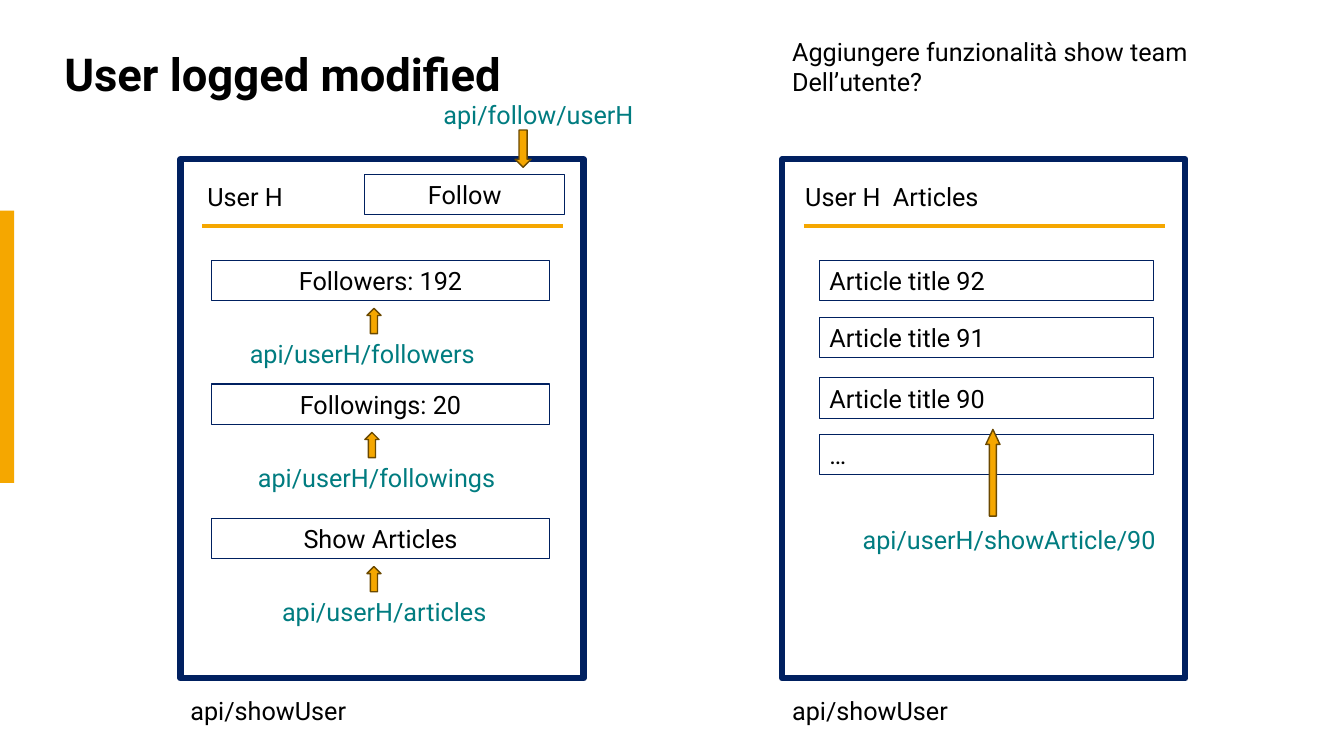
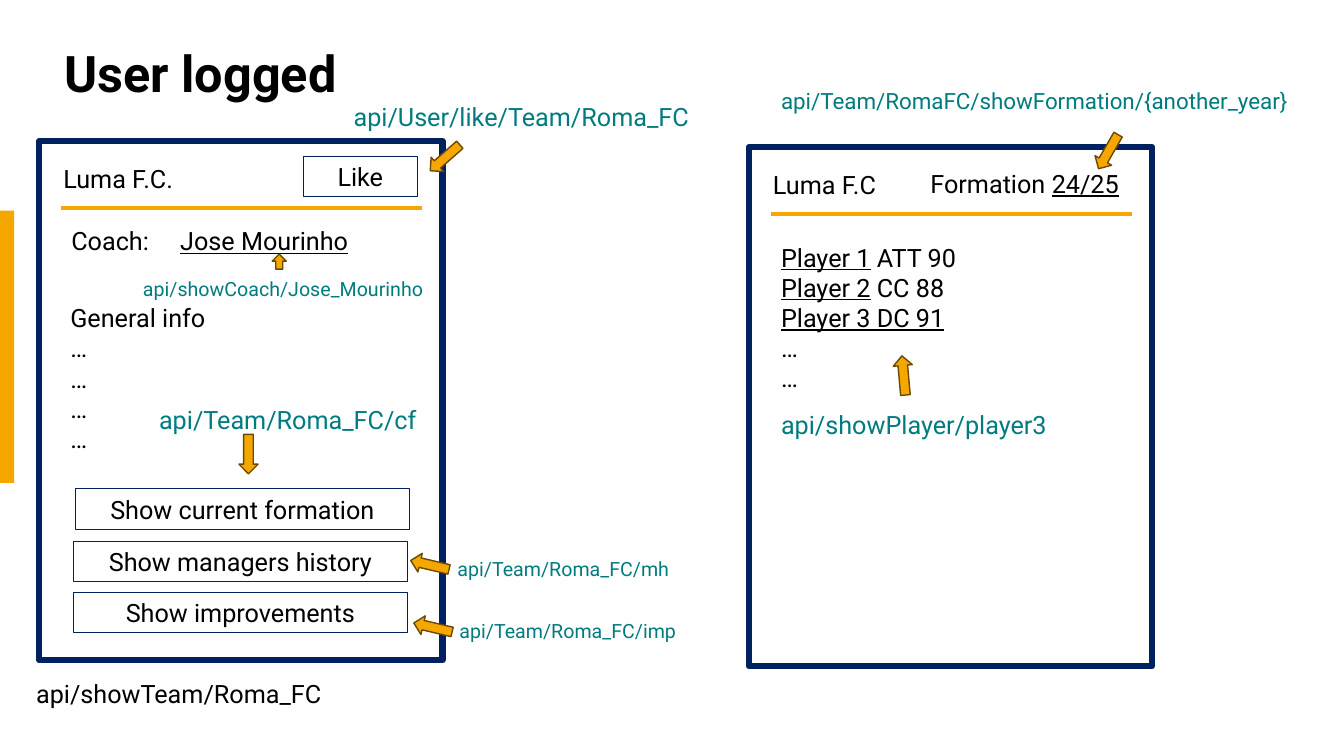
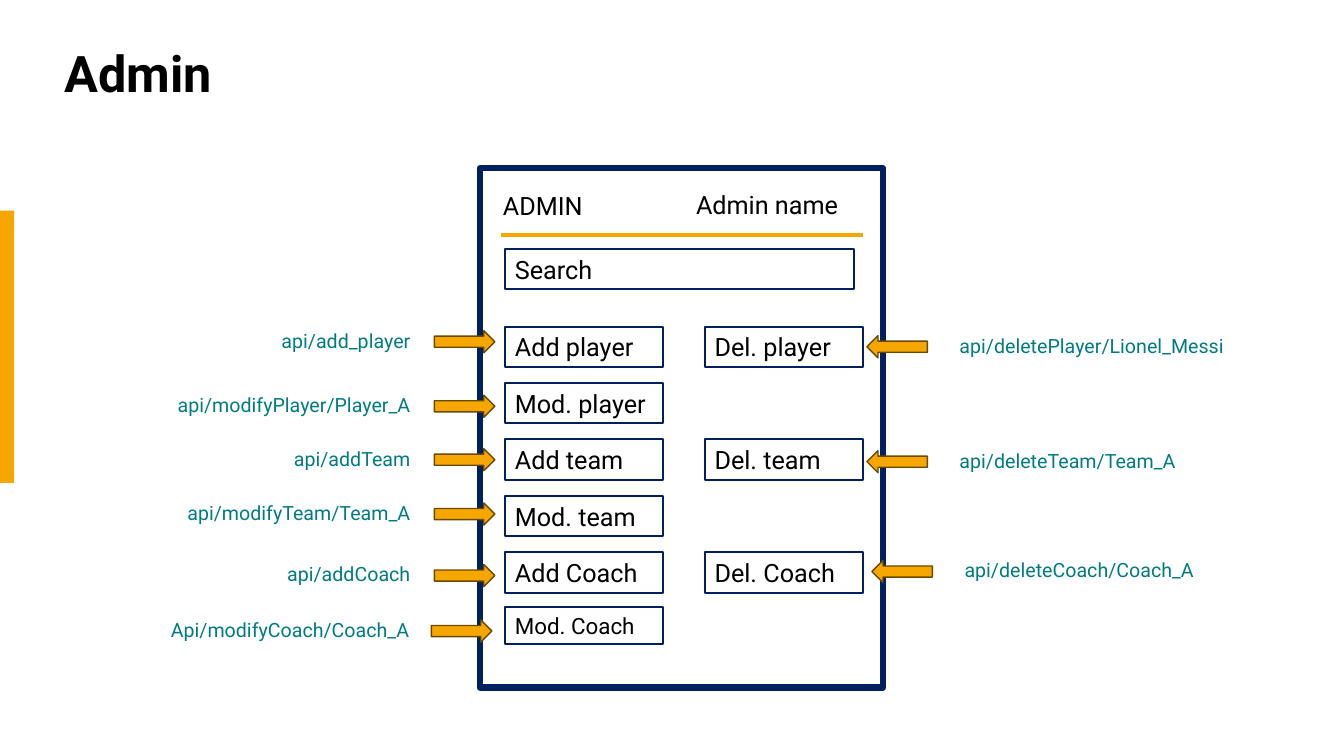
from lxml import etree
from pptx import Presentation
from pptx.dml.color import RGBColor
from pptx.enum.shapes import MSO_CONNECTOR, MSO_SHAPE
from pptx.enum.text import MSO_ANCHOR, PP_ALIGN
from pptx.oxml.ns import qn
from pptx.util import Inches, Pt

CELL = Inches(0.1)
SLIDE_COLUMNS, SLIDE_ROWS = 133.33, 75
BUTTON_ROWS = 4
SCREEN_COLUMNS, SCREEN_ROWS = 40, 51.5

FONT = "Roboto"
BLACK = RGBColor(0x00, 0x00, 0x00)
WHITE = RGBColor(0xFF, 0xFF, 0xFF)
NAVY = RGBColor(0x00, 0x20, 0x60)
ORANGE = RGBColor(0xF5, 0xA7, 0x00)
BROWN = RGBColor(0x6B, 0x49, 0x00)
TEAL = RGBColor(0x00, 0x7C, 0x80)


def cells(*counts):
    return [round(count * CELL) for count in counts]


def add_tab_stop(paragraph, position):
    tab_list = etree.SubElement(paragraph._p.get_or_add_pPr(), qn("a:tabLst"))
    etree.SubElement(tab_list, qn("a:tab"), pos=str(cells(position)[0]), algn="l")


def write(shape, lines, size=18, color=BLACK, align=PP_ALIGN.LEFT, bold=False, tab=None):
    """Each line is a string, or a tuple alternating plain and underlined pieces."""
    frame = shape.text_frame
    frame.word_wrap = True
    frame.vertical_anchor = MSO_ANCHOR.TOP
    for index, line in enumerate(lines):
        paragraph = frame.paragraphs[0] if index == 0 else frame.add_paragraph()
        paragraph.alignment = align
        if tab:
            add_tab_stop(paragraph, tab)
        font = paragraph.font
        font.name, font.size, font.bold = FONT, Pt(size), bold
        font.color.rgb = color
        pieces = (line,) if isinstance(line, str) else line
        for position, piece in enumerate(pieces):
            if piece:
                run = paragraph.add_run()
                run.text = piece
                if position % 2:
                    run.font.underline = True


def add_text(slide, lines, left, top, width=40, height=BUTTON_ROWS, **style):
    box = slide.shapes.add_textbox(*cells(left, top, width, height))
    write(box, [lines] if isinstance(lines, str) else lines, **style)
    return box


def add_endpoint(slide, address, left, top, width=46.4, size=18, **style):
    add_text(slide, address, left, top, width, size=size, color=TEAL, **style)


def add_block(slide, kind, left, top, width, height, fill=None, line=None, weight=0.75):
    shape = slide.shapes.add_shape(kind, *cells(left, top, width, height))
    shape.shadow.inherit = False
    if fill is None:
        shape.fill.background()
    else:
        shape.fill.solid()
        shape.fill.fore_color.rgb = fill
    if line is None:
        shape.line.fill.background()
    else:
        shape.line.color.rgb = line
        shape.line.width = Pt(weight)
    return shape


def add_button(slide, caption, left, top, width, height=BUTTON_ROWS, weight=0.75, **style):
    button = add_block(slide, MSO_SHAPE.RECTANGLE, left, top, width, height,
                       line=NAVY, weight=weight)
    write(button, [caption], **style)


def add_arrow(slide, left, top, width, height, rotation=0, head=0.5):
    arrow = add_block(slide, MSO_SHAPE.DOWN_ARROW, left, top, width, height,
                      ORANGE, BROWN, 1)
    arrow.adjustments[1] = head
    arrow.rotation = rotation


def add_screen(slide, heading, left, top, inset=1.4, **style):
    add_block(slide, MSO_SHAPE.RECTANGLE, left, top, SCREEN_COLUMNS, SCREEN_ROWS,
              WHITE, NAVY, 4.5)
    add_text(slide, heading, left + inset, top + 1.7, 26, **style)
    start, end, level = cells(left + 2.15, left + 38, top + 6.6)
    rule = slide.shapes.add_connector(MSO_CONNECTOR.STRAIGHT, start, level, end, level)
    rule.line.color.rgb = ORANGE
    rule.line.width = Pt(3)
    etree.SubElement(rule._element.spPr, qn("a:effectLst"))


def add_slide(presentation, title, size=36):
    slide = presentation.slides.add_slide(presentation.slide_layouts[6])
    box = add_text(slide, title, 5.4, 4, 46.4, 7.2, size=size, bold=True)
    box.text_frame.vertical_anchor = MSO_ANCHOR.MIDDLE
    box.text_frame.paragraphs[0].line_spacing = 0.9
    add_block(slide, MSO_SHAPE.RECTANGLE, 0, 20.9, 1.4, 27, ORANGE)
    return slide


def build_user_slide(presentation):
    slide = add_slide(presentation, "User logged modified", 32.4)
    user_left, articles_left, top = 17.9, 77.6, 15.8

    add_screen(slide, "User H", user_left, top, inset=1.7)
    add_button(slide, "Follow", 36.2, 17.3, 19.8, align=PP_ALIGN.CENTER)
    add_endpoint(slide, "api/follow/userH", 43, 9.4)
    add_arrow(slide, 51.1, 12.9, 1.6, 3.7)
    for caption, address, button_top, address_left, arrow_left in (
        ("Followers: 192", "api/userH/followers", 25.8, 23.8, 36.4),
        ("Followings: 20", "api/userH/followings", 38.1, 24.6, 36.2),
        ("Show Articles", "api/userH/articles", 51.4, 27, 36.4),
    ):
        add_button(slide, caption, 21, button_top, 33.5, align=PP_ALIGN.CENTER)
        add_arrow(slide, arrow_left, button_top + 4.8, 1.4, 2.5, 180)
        add_endpoint(slide, address, address_left, button_top + 7.3, 30)

    add_screen(slide, "User H\tArticles", articles_left, top, inset=1.3, tab=8.7)
    for caption, button_top in (
        ("Article title 92", 25.8),
        ("Article title 91", 31.5),
        ("Article title 90", 37.5),
        ("…", 43.1),
    ):
        add_button(slide, caption, 81.3, button_top, 33.1)
    add_arrow(slide, 97.8, 42.6, 1.4, 8.6, 180, 1.06)
    add_endpoint(slide, "api/userH/showArticle/90", 84.6, 51.5, 40)

    for left in (user_left, articles_left):
        add_text(slide, "api/showUser", left, 68.5)
    add_text(slide, ["Aggiungere funzionalità show team", "Dell’utente?"],
             articles_left, 3.1, 47.1, 7.1)


def build_team_slide(presentation):
    slide = add_slide(presentation, "User logged")

    add_screen(slide, "Luma F.C.", 3.9, 14)
    add_button(slide, "Like", 30.1, 15.5, 11.3, align=PP_ALIGN.CENTER)
    add_text(slide, [("Coach:\t", "Jose Mourinho")], 6.1, 21.9, tab=10.8)
    add_text(slide, ["General info"] + ["…"] * 4, 6, 29.5, 34, 16.2)
    for caption, left, top in (
        ("Show current formation", 7.5, 48.5),
        ("Show managers history", 7.3, 53.7),
        ("Show improvements", 7.3, 58.8),
    ):
        add_button(slide, caption, left, top, 33.1, align=PP_ALIGN.CENTER)
    add_text(slide, "api/showTeam/Roma_FC", 2.6, 66.8)

    add_screen(slide, "Luma F.C", 74.3, 14.6)
    add_text(slide, [("Formation ", "24/25")], 90.3, 16.2, 22.7, align=PP_ALIGN.CENTER)
    add_text(slide, [("", "Player 1", " ATT 90"), ("", "Player 2", " CC 88"),
                     ("", "Player 3 DC 91"), "…", "…"], 76.5, 23.5, 34, 28.3)

    for address, left, top, size in (
        ("api/User/like/Team/Roma_FC", 34.1, 9.6, 18),
        ("api/Team/Roma_FC/cf", 14.8, 39.6, 18),
        ("api/showCoach/Jose_Mourinho", 13.2, 27, 14),
        ("api/Team/Roma_FC/mh", 44.4, 54.8, 14),
        ("api/Team/Roma_FC/imp", 44.6, 60.9, 14),
        ("api/showPlayer/player3", 76.5, 40.1, 18),
    ):
        add_endpoint(slide, address, left, top, size=size)
    add_endpoint(slide, "api/Team/RomaFC/showFormation/{another_year}",
                 76.5, 8.2, 55.5, 16)

    add_arrow(slide, 27, 25.2, 1.4, 1.5, 180)
    for left, top, rotation in (
        (43.2, 13.7, 48.7),
        (23.7, 43.1, 0),
        (41.7, 54.1, 103.2),
        (42, 60.3, 103.2),
        (88.7, 35.3, 174.9),
        (109, 13.1, 29.8),
    ):
        add_arrow(slide, left, top, 1.9, 3.9, rotation)


def add_side_arrow(slide, center, middle, rotation):
    width, length = 2.2, 6
    add_arrow(slide, center - width / 2, middle - length / 2, width, length, rotation)


def build_admin_slide(presentation):
    slide = add_slide(presentation, "Admin")
    left_column, right_column, width = 50.1, 69.9, 15.7
    first_row, row_step = 32.4, 5.6

    add_screen(slide, "ADMIN", 47.6, 16.7, inset=1.3)
    add_text(slide, "Admin name", 66.6, 18.3, 19, align=PP_ALIGN.CENTER)
    add_button(slide, "Search", left_column, 24.7, 34.6, weight=1.5)

    for row, (caption, address, top) in enumerate((
        ("Add player", "api/add_player", 32.1),
        ("Mod. player", "api/modifyPlayer/Player_A", 38.5),
        ("Add team", "api/addTeam", 43.8),
        ("Mod. team", "api/modifyTeam/Team_A", 49.2),
        ("Add Coach", "api/addCoach", 55.3),
    )):
        add_button(slide, caption, left_column, first_row + row * row_step, width, weight=1.5)
        add_endpoint(slide, address, 6.9, top, 34.8, 14, align=PP_ALIGN.RIGHT)
        add_side_arrow(slide, 46.1, top + 1.8, 270)
    add_button(slide, "Mod. Coach", left_column, 60.2, width, 3.7, weight=1.5, size=16)
    add_endpoint(slide, "Api/modifyCoach/Coach_A", 6.8, 60.8, 34.8, 14, align=PP_ALIGN.RIGHT)
    add_side_arrow(slide, 45.8, 62.6, 270)

    for row, (caption, address, left, top) in enumerate((
        ("Del. player", "api/deletePlayer/Lionel_Messi", 94.2, 32.6),
        ("Del. team", "api/deleteTeam/Team_A", 94.2, 44),
        ("Del. Coach", "api/deleteCoach/Coach_A", 94.7, 54.9),
    )):
        add_button(slide, caption, right_column, first_row + row * 2 * row_step, width, weight=1.5)
        add_endpoint(slide, address, left, top, 34.8, 14)
        add_side_arrow(slide, left - 5.2, top + 1.8, 90)


def main():
    presentation = Presentation()
    presentation.slide_width, presentation.slide_height = cells(SLIDE_COLUMNS, SLIDE_ROWS)
    build_user_slide(presentation)
    build_team_slide(presentation)
    build_admin_slide(presentation)
    presentation.save("out.pptx")


if __name__ == "__main__":
    main()
